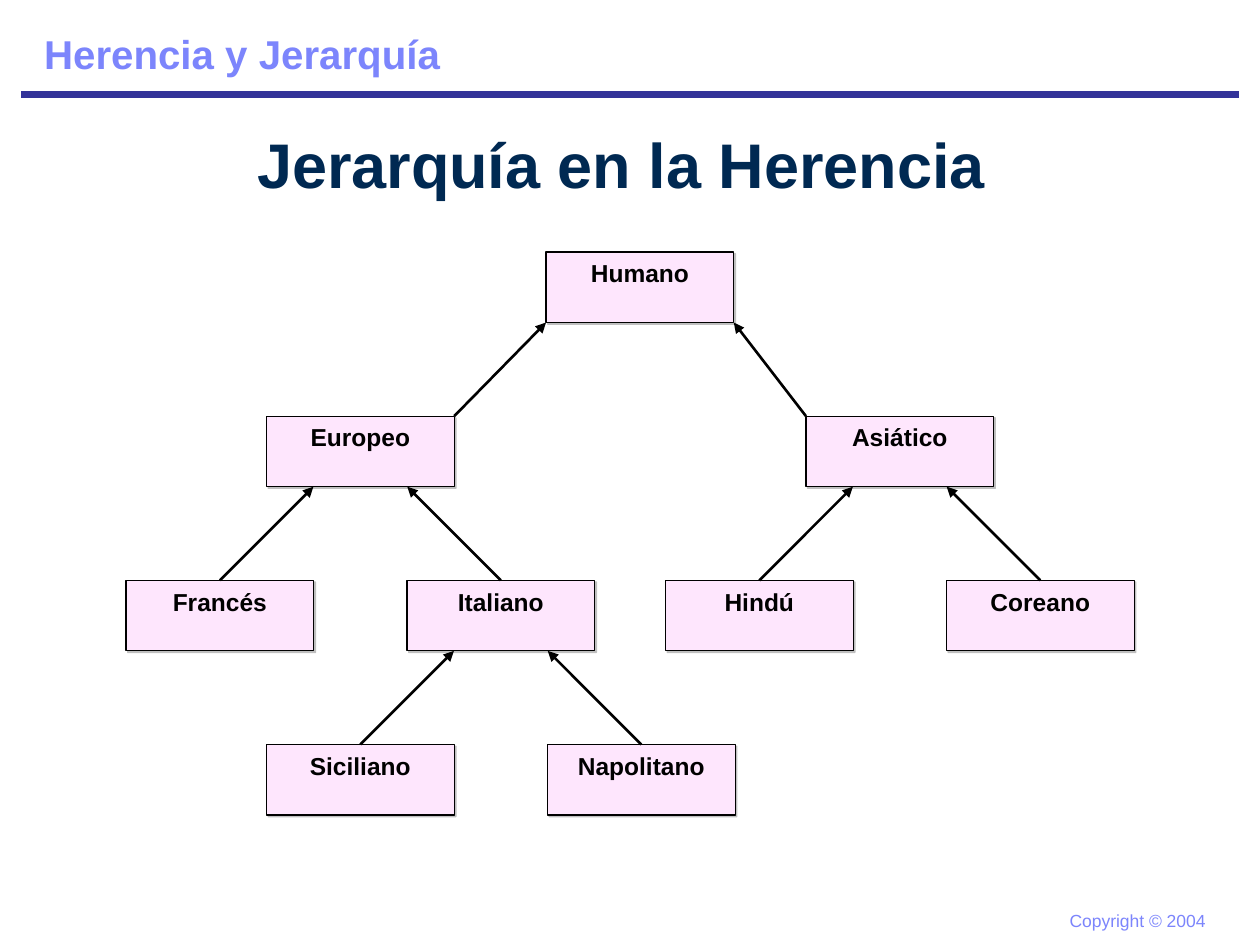
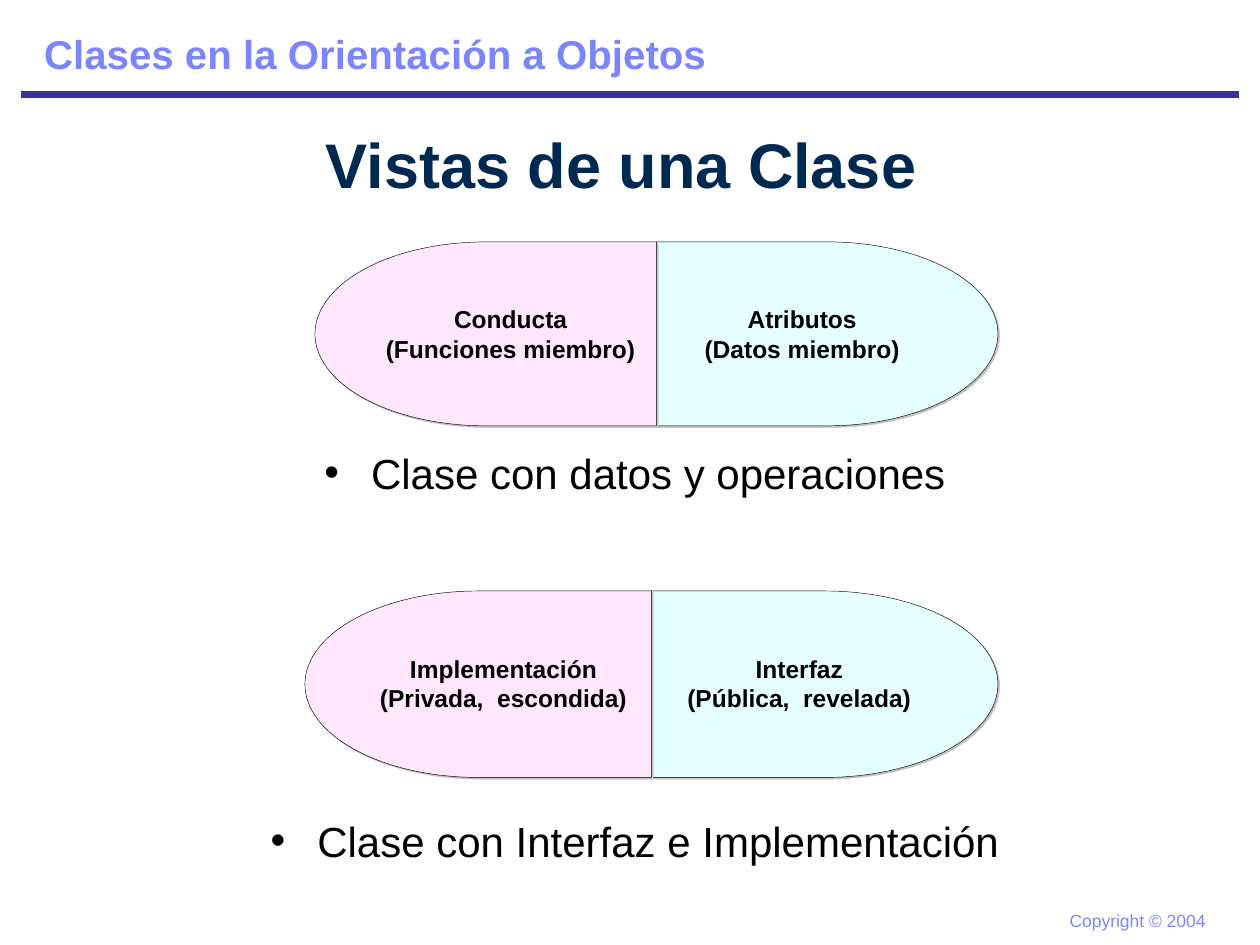
from lxml import etree
from pptx import Presentation
from pptx.dml.color import RGBColor
from pptx.enum.shapes import MSO_CONNECTOR, MSO_SHAPE
from pptx.enum.text import MSO_ANCHOR, MSO_AUTO_SIZE, PP_ALIGN
from pptx.oxml.ns import qn
from pptx.util import Inches, Pt

STRAIGHT = MSO_CONNECTOR.STRAIGHT
RECTANGLE, HALF_CAPSULE = MSO_SHAPE.RECTANGLE, MSO_SHAPE.FLOWCHART_DELAY
TOP, MIDDLE = MSO_ANCHOR.TOP, MSO_ANCHOR.MIDDLE
LEFT, CENTER = PP_ALIGN.LEFT, PP_ALIGN.CENTER
NO_AUTOFIT = MSO_AUTO_SIZE.NONE

SLIDE_W, SLIDE_H = 10, 7.5
FONT = "Arial"
COLORS = {
    "band": "333399",
    "title": "7C85FC",
    "heading": "002952",
    "ink": "000000",
    "pink": "FEE6FD",
    "aqua": "E5FFFF",
    "node_shadow": "808080",
    "view_shadow": "C0C0C0",
}
FOOTER = "Copyright © 2004"

HIERARCHY = {
    "title": "Herencia y Jerarquía",
    "heading": "Jerarquía en la Herencia ",
    "nodes": {
        "Humano": (2.99, 0),
        "Europeo": (1, 1),
        "Asiático": (4.84, 1),
        "Francés": (0, 2),
        "Italiano": (2, 2),
        "Hindú": (3.84, 2),
        "Coreano": (5.84, 2),
        "Siciliano": (1, 3),
        "Napolitano": (3, 3),
    },
    "children": {
        "Humano": ("Europeo", "Asiático"),
        "Europeo": ("Francés", "Italiano"),
        "Asiático": ("Hindú", "Coreano"),
        "Italiano": ("Siciliano", "Napolitano"),
    },
}
VIEWS = {
    "title": "Clases en la Orientación a Objetos",
    "heading": "Vistas de una Clase ",
    "capsules": [
        {
            "halves": [("Conducta", "(Funciones miembro)"), ("Atributos", "(Datos miembro)")],
            "box": (2.5, 1.92, 2.71, 1.46),
            "caption": "Clase con datos y operaciones ",
            "caption_top": 3.58,
        },
        {
            "halves": [("Implementación", "(Privada,  escondida)"), ("Interfaz", "(Pública,  revelada)")],
            "box": (2.42, 4.69, 2.75, 1.48),
            "caption": "Clase con Interfaz e Implementación ",
            "caption_top": 6.5,
        },
    ],
}

TREE_LEFT, TREE_TOP = 1, 2
COLUMN, ROW = 1.115, 1.303
NODE_W, NODE_H = 1.49, 0.56
SIBLING_JOINTS = ((0.5, 0.25), (0.5, 0.75))
ROOT_JOINTS = ((1, 0), (0, 1))


def rgb(color):
    return RGBColor.from_string(COLORS[color])


def place(shape, *box):
    shape.left, shape.top, shape.width, shape.height = map(Inches, box)


def write(shape, lines, size, color, bold=False, align=CENTER, anchor=TOP, wrap=True):
    frame = shape.text_frame
    frame.auto_size = NO_AUTOFIT
    frame.word_wrap = wrap
    frame.vertical_anchor = anchor
    for index, line in enumerate(lines):
        paragraph = frame.paragraphs[0] if index == 0 else frame.add_paragraph()
        paragraph.alignment = align
        run = paragraph.add_run()
        run.text = line
        run.font.name, run.font.size, run.font.bold = FONT, Pt(size), bold
        run.font.color.rgb = rgb(color)
    return frame


def add_label(slide, box, text, size, color, **style):
    label = slide.shapes.add_textbox(*map(Inches, box))
    return write(label, [text], size, color, **style)


def add_line(slide, start, end, color, width, arrow=False):
    line = slide.shapes.add_connector(STRAIGHT, *map(Inches, (*start, *end)))
    line.line.color.rgb = rgb(color)
    line.line.width = Pt(width)
    if arrow:
        etree.SubElement(line.line._get_or_add_ln(), qn("a:tailEnd"), type="triangle")
    etree.SubElement(line.element.spPr, qn("a:effectLst"))


def add_block(slide, kind, box, fill, line_width, shadow, opacity):
    block = slide.shapes.add_shape(kind, *map(Inches, box))
    block.fill.solid()
    block.fill.fore_color.rgb = rgb(fill)
    block.line.color.rgb = rgb("ink")
    block.line.width = Pt(line_width)
    block.shadow.inherit = False
    effects = block.element.spPr.find(qn("a:effectLst"))
    outer = etree.SubElement(effects, qn("a:outerShdw"), dist=str(Pt(1.4)), dir="2700000",
                             algn="ctr", rotWithShape="0")
    tint = etree.SubElement(outer, qn("a:srgbClr"), val=COLORS[shadow])
    etree.SubElement(tint, qn("a:alpha"), val=str(opacity * 1000))
    return block


def start_slide(deck, content):
    slide = deck.slides.add_slide(deck.slide_layouts[5])
    add_line(slide, (0.17, 0.75), (SLIDE_W - 0.17, 0.75), "band", 4.5)
    add_label(slide, (8.39, 7.17, 1.28, 0.27), FOOTER, 10, "title", align=LEFT, wrap=False)
    title = slide.shapes.title
    place(title, 0.25, 0.17, SLIDE_W - 0.5, 0.5)
    write(title, [content["title"]], 23, "title", bold=True, align=LEFT, anchor=MIDDLE)
    add_label(slide, (0.75, 0.92, SLIDE_W - 1.5, 0.75), content["heading"], 36, "heading",
              bold=True, anchor=MIDDLE)
    return slide


def build_hierarchy(deck):
    slide = start_slide(deck, HIERARCHY)
    corners = {name: (TREE_LEFT + column * COLUMN, TREE_TOP + row * ROW)
               for name, (column, row) in HIERARCHY["nodes"].items()}
    for name, corner in corners.items():
        node = add_block(slide, RECTANGLE, (*corner, NODE_W, NODE_H), "pink", 0.75, "node_shadow", 50)
        write(node, [name], 14, "ink", bold=True)
    for parent, children in HIERARCHY["children"].items():
        parent_x, parent_y = corners[parent]
        joints = ROOT_JOINTS if parent == "Humano" else SIBLING_JOINTS
        for child, (child_share, parent_share) in zip(children, joints):
            child_x, child_y = corners[child]
            add_line(slide, (child_x + child_share * NODE_W, child_y),
                     (parent_x + parent_share * NODE_W, parent_y + NODE_H), "ink", 1.5, arrow=True)


def add_caption(slide, text, top):
    frame = add_label(slide, (0.75, top, 8.67, 0.5), text, 24, "ink")
    paragraph = frame.paragraphs[0]
    paragraph.line_spacing = 0.8
    properties = paragraph._p.get_or_add_pPr()
    properties.set("marL", str(Inches(0.37)))
    properties.set("indent", str(-Inches(0.37)))
    etree.SubElement(properties, qn("a:buFont"), typeface=FONT)
    etree.SubElement(properties, qn("a:buChar"), char="•")


def build_views(deck):
    slide = start_slide(deck, VIEWS)
    for capsule in VIEWS["capsules"]:
        left, top, width, height = capsule["box"]
        for side in (1, 0):
            half = add_block(slide, HALF_CAPSULE, (left + side * width, top, width, height),
                             ("pink", "aqua")[side], 0.25, "view_shadow", 100)
            if side == 0:
                half.element.spPr.get_or_add_xfrm().set("flipH", "1")
            frame = write(half, capsule["halves"][side], 14, "ink", bold=True)
            frame.margin_top = Inches(0.28)
        add_caption(slide, capsule["caption"], capsule["caption_top"])


def main():
    deck = Presentation()
    deck.slide_width, deck.slide_height = Inches(SLIDE_W), Inches(SLIDE_H)
    build_hierarchy(deck)
    build_views(deck)
    deck.save("out.pptx")


if __name__ == "__main__":
    main()
